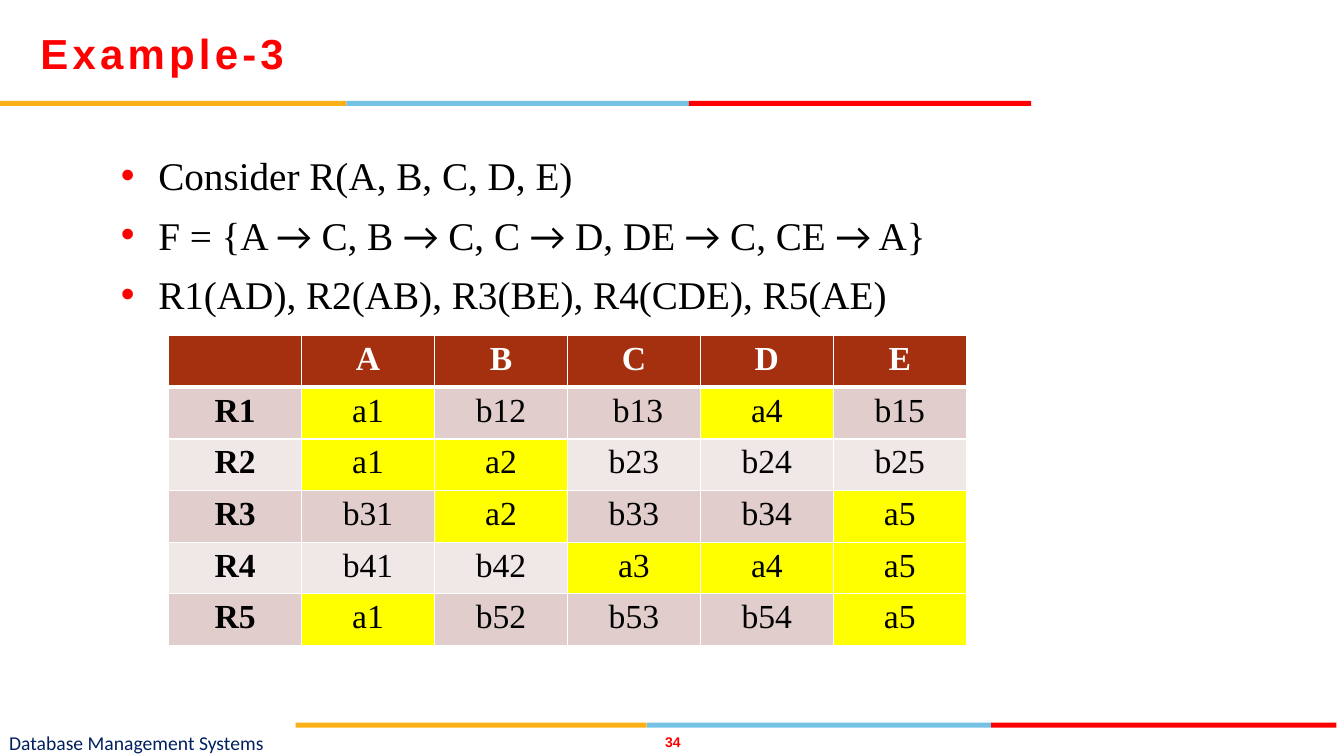
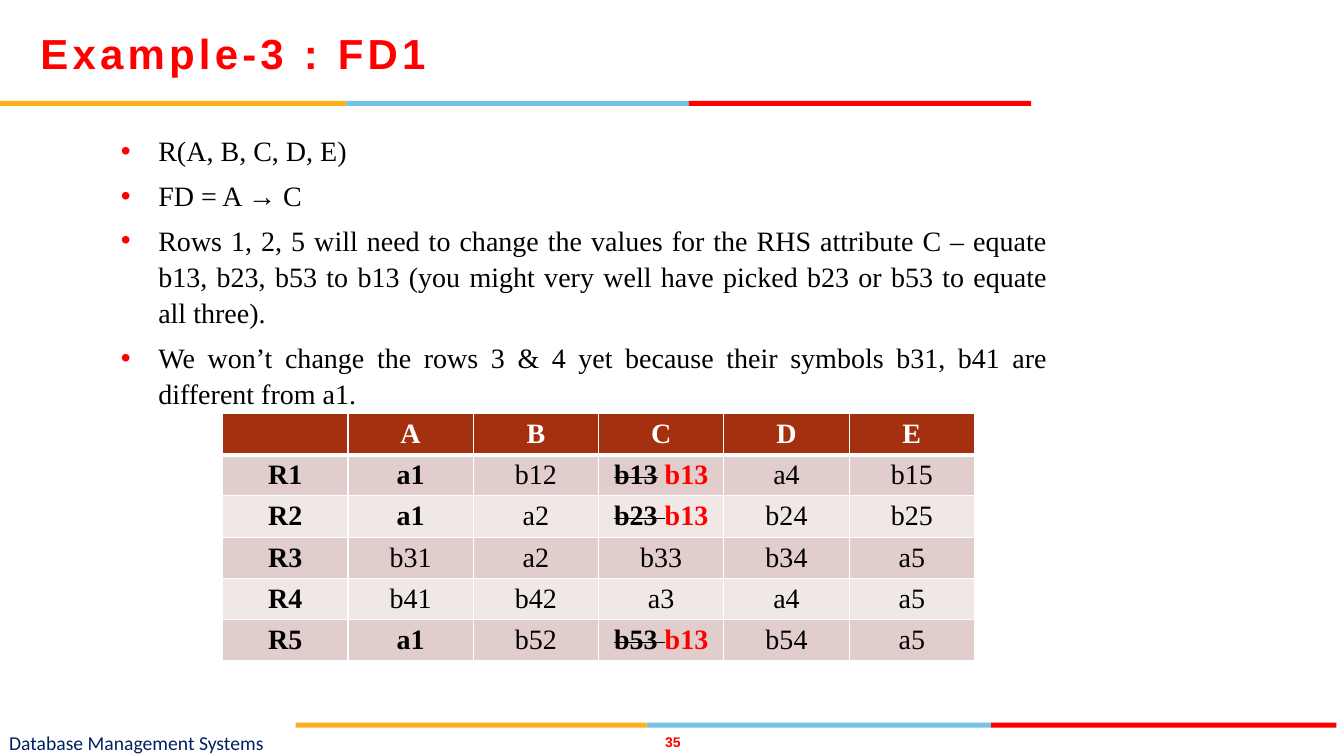
from dataclasses import dataclass

from lxml import etree
from pptx import Presentation
from pptx.dml.color import RGBColor
from pptx.enum.shapes import MSO_SHAPE
from pptx.enum.text import MSO_ANCHOR, MSO_AUTO_SIZE, PP_ALIGN
from pptx.oxml.ns import qn
from pptx.util import Cm, Pt

RECT = MSO_SHAPE.RECTANGLE
TOP, MIDDLE = MSO_ANCHOR.TOP, MSO_ANCHOR.MIDDLE
NO_AUTOFIT = MSO_AUTO_SIZE.NONE
LEFT, CENTER, JUSTIFY = PP_ALIGN.LEFT, PP_ALIGN.CENTER, PP_ALIGN.JUSTIFY

RED = RGBColor(0xFF, 0x00, 0x00)
AMBER = RGBColor(0xFC, 0xB0, 0x17)
SKY = RGBColor(0x76, 0xC2, 0xE5)
NAVY = RGBColor(0x00, 0x20, 0x60)
BLACK = RGBColor(0x00, 0x00, 0x00)
WHITE = RGBColor(0xFF, 0xFF, 0xFF)
YELLOW = RGBColor(0xFF, 0xFF, 0x00)
RUST = RGBColor(0xA5, 0x30, 0x10)
ROW_FILLS = (RGBColor(0xF0, 0xE8, 0xE7), RGBColor(0xE1, 0xCD, 0xCC))

SANS, SERIF, FOOTER_FONT = "Arial", "Times New Roman", "Calibri"
FOOTER = "Database Management Systems"
ARROW = "→"
INDENT = Cm(0.94)


@dataclass(frozen=True)
class Box:
    left: float
    top: float
    width: float
    height: float

    def lengths(self) -> tuple:
        return Cm(self.left), Cm(self.top), Cm(self.width), Cm(self.height)


@dataclass(frozen=True)
class Band:
    left: float
    top: float
    widths: tuple


@dataclass(frozen=True)
class Bullets:
    box: Box
    size: int
    arrow_font: str
    lines: tuple


@dataclass(frozen=True)
class Tableau:
    """Rows of symbols; "old|new" marks a symbol that has been replaced."""
    box: Box
    size: int
    rows: tuple
    highlight: str = ""
    bold: str = ""


@dataclass(frozen=True)
class Page:
    number: int
    title: str
    bullets: Bullets
    tableau: Tableau


BANDS = (
    Band(0, 2.54, (8.73, 8.63, 8.63)),
    Band(7.45, 18.21, (8.85, 8.68, 8.7)),
)

PAGES = (
    Page(
        34, "Example-3",
        Bullets(Box(3.05, 3.6, 21.3, 4.6), 28, FOOTER_FONT, (
            "Consider R(A, B, C, D, E)",
            "F = {A → C, B → C, C → D, DE → C, CE → A}",
            "R1(AD), R2(AB), R3(BE), R4(CDE), R5(AE)",
        )),
        Tableau(Box(4.25, 8.46, 20.1, 7.8), 24, (
            ("", "A", "B", "C", "D", "E"),
            ("R1", "a1", "b12", " b13", "a4", "b15"),
            ("R2", "a1", "a2", "b23", "b24", "b25"),
            ("R3", "b31", "a2", "b33", "b34", "a5"),
            ("R4", "b41", "b42", "a3", "a4", "a5"),
            ("R5", "a1", "b52", "b53", "b54", "a5"),
        ), highlight="a"),
    ),
    Page(
        35, "Example-3 : FD1",
        Bullets(Box(3.05, 3.18, 23.35, 7), 20, SERIF, (
            "R(A, B, C, D, E)",
            "FD = A → C",
            "Rows 1, 2, 5 will need to change the values for the RHS attribute C – "
            "equate b13, b23, b53 to b13 (you might very well have picked b23 or b53 "
            "to equate all three).",
            "We won’t change the rows 3 & 4 yet because their symbols b31, b41 are "
            "different from a1.",
        )),
        Tableau(Box(5.61, 10.42, 18.95, 6.21), 20, (
            ("", "A", "B", "C", "D", "E"),
            ("R1", "a1", "b12", "b13| b13", "a4", "b15"),
            ("R2", "a1", "a2", "b23 |b13", "b24", "b25"),
            ("R3", "b31", "a2", "b33", "b34", "a5"),
            ("R4", "b41", "b42", "a3", "a4", "a5"),
            ("R5", "a1", "b52", "b53 |b13", "b54", "a5"),
        ), bold="a1"),
    ),
)


def style_run(r, font: str, size: int, color: RGBColor, bold: bool = False) -> None:
    r.font.name = font
    r.font.size = Pt(size)
    r.font.color.rgb = color
    r.font.bold = bold


def add_run(p, text: str, font: str, size: int, color: RGBColor, bold: bool = False):
    r = p.add_run()
    r.text = text
    style_run(r, font, size, color, bold)
    return r


def set_frame(tf, anchor, inset: float = 0) -> None:
    tf.word_wrap = True
    tf.auto_size = NO_AUTOFIT
    tf.vertical_anchor = anchor
    tf.margin_left = tf.margin_right = 0
    tf.margin_top = tf.margin_bottom = Cm(inset)


def add_bands(s) -> None:
    for band in BANDS:
        left = band.left
        for width, color in zip(band.widths, (AMBER, SKY, RED)):
            sp = s.shapes.add_shape(RECT, *Box(left, band.top, width, 0.13).lengths())
            sp.shadow.inherit = False
            sp.fill.solid()
            sp.fill.fore_color.rgb = color
            sp.line.fill.background()
            left += width


def add_label(s, box: Box, text: str, align, font: str, size: int,
              color: RGBColor, bold: bool = False) -> None:
    tf = s.shapes.add_textbox(*box.lengths()).text_frame
    set_frame(tf, MIDDLE)
    p = tf.paragraphs[0]
    p.alignment = align
    add_run(p, text, font, size, color, bold)


def set_title(s, text: str) -> None:
    title = s.shapes.title
    title.left, title.top, title.width, title.height = Box(1.02, 0.25, 25.4, 2.16).lengths()
    tf = title.text_frame
    set_frame(tf, MIDDLE)
    tf.text = text
    p = tf.paragraphs[0]
    p.alignment = LEFT
    r = p.runs[0]
    style_run(r, SANS, 30, RED, True)
    r._r.get_or_add_rPr().set("spc", "300")


def set_bullet(p) -> None:
    pPr = p._p.get_or_add_pPr()
    pPr.set("marL", str(INDENT))
    pPr.set("indent", str(-INDENT))
    color = etree.SubElement(pPr, qn("a:buClr"))
    etree.SubElement(color, qn("a:srgbClr"), val=str(RED))
    etree.SubElement(pPr, qn("a:buFont"), typeface=SANS)
    etree.SubElement(pPr, qn("a:buChar"), char="•")


def add_bullets(s, bullets: Bullets) -> None:
    tf = s.shapes.add_textbox(*bullets.box.lengths()).text_frame
    set_frame(tf, TOP, 0.13)
    for i, line in enumerate(bullets.lines):
        p = tf.add_paragraph() if i else tf.paragraphs[0]
        p.alignment = JUSTIFY
        p.line_spacing = 1.08
        p.space_before = Pt(6)
        set_bullet(p)
        for j, piece in enumerate(line.split(ARROW)):
            if j:
                add_run(p, ARROW, bullets.arrow_font, bullets.size, BLACK)
            add_run(p, piece, SERIF, bullets.size, BLACK)


def set_borders(cell, top: int, bottom: int) -> None:
    """Draw white borders; call before filling, as lines precede the fill in XML."""
    tcPr = cell._tc.get_or_add_tcPr()
    for side, width in (("L", 1), ("R", 1), ("T", top), ("B", bottom)):
        ln = etree.SubElement(tcPr, qn(f"a:ln{side}"), w=str(Pt(width)))
        fill = etree.SubElement(ln, qn("a:solidFill"))
        etree.SubElement(fill, qn("a:srgbClr"), val=str(WHITE))


def fill_cell(cell, tableau: Tableau, row: int, col: int) -> None:
    text = tableau.rows[row][col]
    set_borders(cell, top=3 if row == 1 else 1, bottom=3 if row == 0 else 1)
    highlighted = tableau.highlight and text.startswith(tableau.highlight)
    cell.fill.solid()
    cell.fill.fore_color.rgb = (
        RUST if row == 0 else YELLOW if highlighted else ROW_FILLS[row % 2])

    p = cell.text_frame.paragraphs[0]
    p.alignment = CENTER
    old, replaced, new = text.partition("|")
    if old:
        bold = 0 in (row, col) or bool(replaced) or old == tableau.bold
        r = add_run(p, old, SERIF, tableau.size, BLACK if row else WHITE, bold)
        if replaced:
            r._r.get_or_add_rPr().set("strike", "sngStrike")
            add_run(p, new, SERIF, tableau.size, RED, True)


def add_tableau(s, tableau: Tableau) -> None:
    rows, cols = len(tableau.rows), len(tableau.rows[0])
    box = tableau.box
    table = s.shapes.add_table(rows, cols, *box.lengths()).table
    for column in table.columns:
        column.width = Cm(box.width / cols)
    for row in range(rows):
        table.rows[row].height = Cm(box.height / rows)
        for col in range(cols):
            fill_cell(table.cell(row, col), tableau, row, col)


def add_page(prs, page: Page) -> None:
    s = prs.slides.add_slide(prs.slide_layouts.get_by_name("Title Only"))
    add_bands(s)
    add_label(s, Box(0.23, 18.36, 12.6, 0.69), FOOTER, LEFT, FOOTER_FONT, 14, NAVY)
    add_label(s, Box(16.54, 18.49, 0.84, 0.43), str(page.number), CENTER, SANS, 10, RED, True)
    set_title(s, page.title)
    add_bullets(s, page.bullets)
    add_tableau(s, page.tableau)


def main() -> None:
    prs = Presentation()
    prs.slide_width, prs.slide_height = Cm(33.87), Cm(19.05)
    for page in PAGES:
        add_page(prs, page)
    prs.save("out.pptx")


if __name__ == "__main__":
    main()
